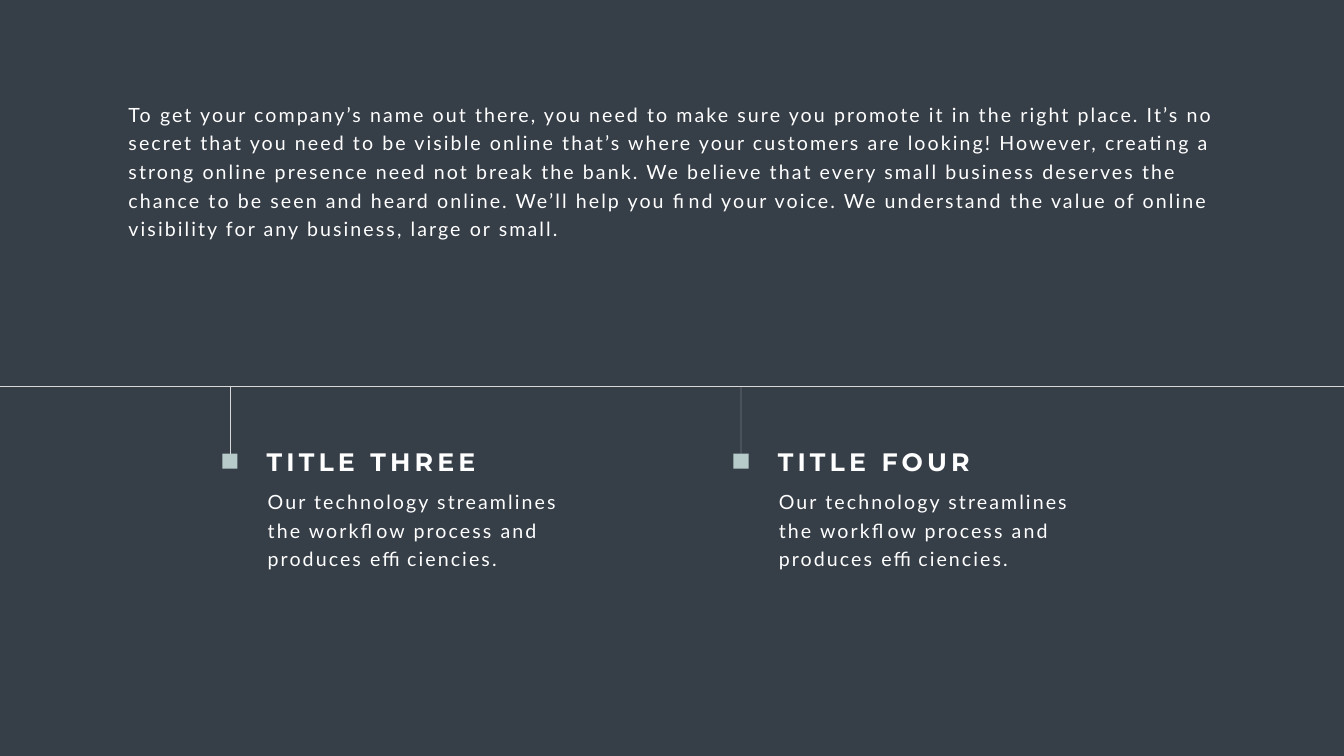
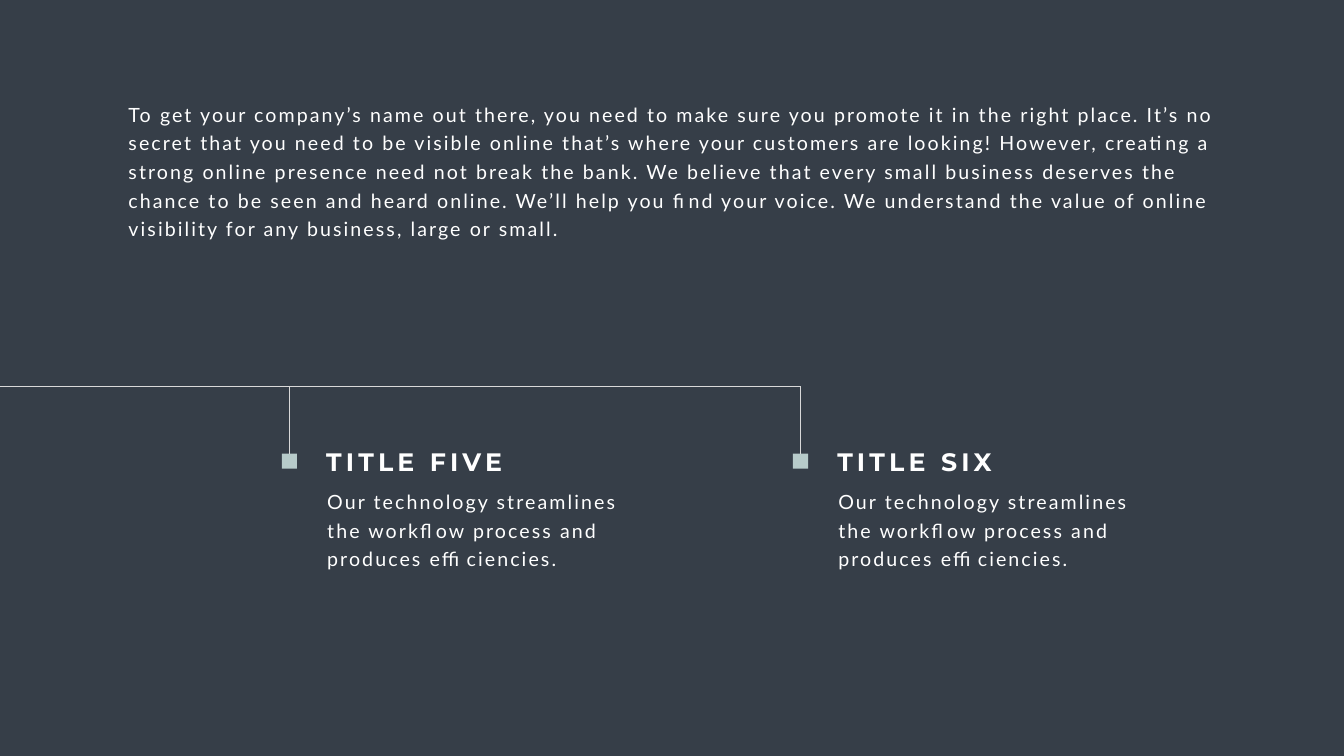
"""Build two timeline slides that share one introduction and one style."""
from dataclasses import dataclass

from lxml import etree
from pptx import Presentation
from pptx import util as u
from pptx.dml.color import RGBColor
from pptx.enum import shapes, text
from pptx.oxml.ns import qn


@dataclass(frozen=True)
class Theme:
    background: RGBColor = RGBColor.from_string("363E48")
    line: RGBColor = RGBColor.from_string("D9D9D9")
    marker: RGBColor = RGBColor.from_string("B7CBCA")
    ink: RGBColor = RGBColor.from_string("FFFFFF")
    heading_font: str = "Montserrat"
    body_font: str = "Lato"
    heading_size: u.Pt = u.Pt(36)
    body_size: u.Pt = u.Pt(28)
    body_leading: u.Pt = u.Pt(40.8)
    line_width: u.Pt = u.Pt(0.5)
    heading_tracking: int = 600
    body_tracking: int = 300


SLIDE_WIDTH, SLIDE_HEIGHT = 26.66, 15
TIMELINE_Y, MARKER_Y, MARKER_SIZE = 7.67, 9, 0.3
MILESTONE_PITCH = 10.14
INTRO = (
    "To get your company’s name out there, you need to make sure you promote it "
    "in the right place. It’s no secret that you need to be visible online that’s "
    "where your customers are looking! However, creating a strong online presence "
    "need not break the bank. We believe that every small business deserves the "
    "chance to be seen and heard online. We’ll help you find your voice. We "
    "understand the value of online visibility for any business, large or small."
)
SUMMARY = "Our technology streamlines the workflow process and produces efficiencies."
TIMELINES = [
    (4.56, SLIDE_WIDTH, ["TITLE THREE", "TITLE FOUR"]),
    (5.74, 5.74 + MILESTONE_PITCH, ["TITLE FIVE", "TITLE SIX"]),
]


class Deck:
    def __init__(self, theme):
        self.theme = theme
        self.presentation = Presentation()
        self.presentation.slide_width = u.Inches(SLIDE_WIDTH)
        self.presentation.slide_height = u.Inches(SLIDE_HEIGHT)
        fill = self.presentation.slide_master.background.fill
        fill.solid()
        fill.fore_color.rgb = theme.background
        self.slide = None

    def new_slide(self):
        self.slide = self.presentation.slides.add_slide(self.presentation.slide_layouts[6])

    def line(self, x1, y1, x2, y2):
        line = self.slide.shapes.add_connector(
            shapes.MSO_CONNECTOR.STRAIGHT, *map(u.Inches, (x1, y1, x2, y2)))
        line.line.color.rgb = self.theme.line
        line.line.width = self.theme.line_width
        etree.SubElement(line._element.spPr, qn("a:effectLst"))
        return line

    def marker(self, center):
        marker = self.slide.shapes.add_shape(
            shapes.MSO_SHAPE.RECTANGLE,
            *map(u.Inches, (center - MARKER_SIZE / 2, MARKER_Y, MARKER_SIZE, MARKER_SIZE)))
        marker.shadow.inherit = False
        marker.fill.solid()
        marker.fill.fore_color.rgb = self.theme.marker
        marker.line.fill.background()
        return marker

    def textbox(self, parent, box, words, font, tracking, leading=None, insets=(0.1, 0.05)):
        frame = parent.add_textbox(*map(u.Inches, box)).text_frame
        side, edge = map(u.Inches, insets)
        frame_format = {
            "word_wrap": True, "auto_size": text.MSO_AUTO_SIZE.SHAPE_TO_FIT_TEXT,
            "margin_left": side, "margin_right": side,
            "margin_top": edge, "margin_bottom": edge,
        }
        for key, value in frame_format.items():
            setattr(frame, key, value)
        paragraph = frame.paragraphs[0]
        if leading:
            paragraph.line_spacing = leading
        run = paragraph.add_run()
        run.text = words
        for key, value in font.items():
            setattr(run.font, key, value)
        run.font.color.rgb = self.theme.ink
        run._r.get_or_add_rPr().set("spc", str(tracking))

    def heading(self, parent, box, words):
        font = {"name": self.theme.heading_font, "size": self.theme.heading_size, "bold": True}
        self.textbox(parent, box, words, font, self.theme.heading_tracking)

    def body(self, parent, box, words, **layout):
        font = {"name": self.theme.body_font, "size": self.theme.body_size}
        self.textbox(parent, box, words, font, self.theme.body_tracking,
                     self.theme.body_leading, **layout)

    def milestone(self, center, title):
        marker = self.marker(center)
        caption = self.slide.shapes.add_group_shape().shapes
        self.body(caption, (center + 0.51, 9.5, 7.04, 1.91), SUMMARY, insets=(0.24, 0.12))
        self.heading(caption, (center + 0.63, 8.8, 5.34, 0.71), title)
        stem = self.line(center, TIMELINE_Y, center, MARKER_Y)
        stem.end_connect(marker, 0)

    def timeline(self, first, end, titles):
        self.new_slide()
        self.line(0, TIMELINE_Y, end, TIMELINE_Y)
        for index, title in enumerate(titles):
            self.milestone(first + index * MILESTONE_PITCH, title)
        self.body(self.slide.shapes, (2.45, 1.89, 21.75, 2.92), INTRO)


def main():
    deck = Deck(Theme())
    for first, end, titles in TIMELINES:
        deck.timeline(first, end, titles)
    deck.presentation.save("out.pptx")


if __name__ == "__main__":
    main()
